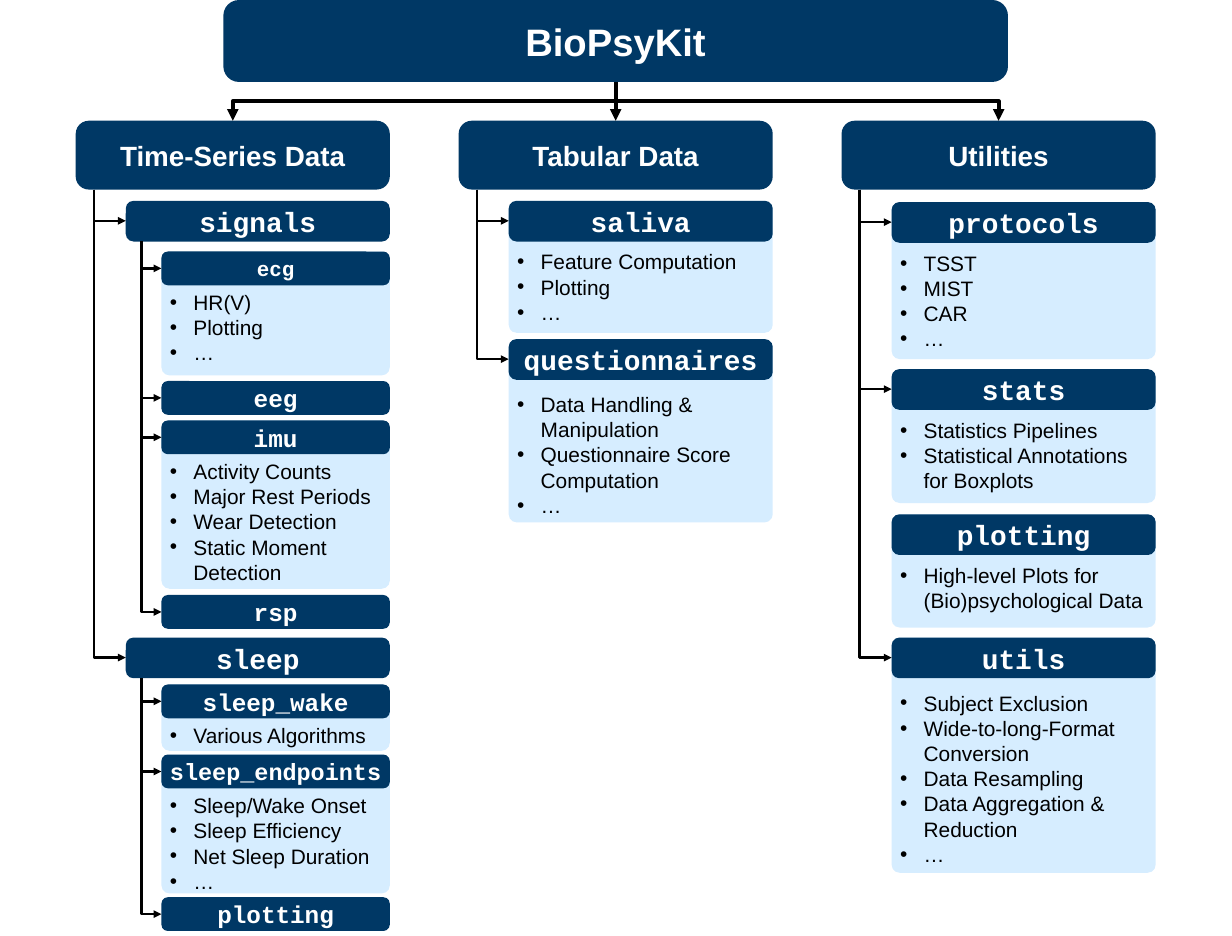
from dataclasses import dataclass

from lxml.etree import SubElement
from pptx import Presentation
from pptx.dml.color import RGBColor
from pptx.enum.shapes import MSO_CONNECTOR, MSO_SHAPE
from pptx.enum.text import MSO_ANCHOR, PP_ALIGN
from pptx.oxml.ns import qn
from pptx.shapes.autoshape import Shape
from pptx.shapes.connector import Connector
from pptx.util import Emu, Pt

SCALE = 9144  # EMU in one px, 100 px to the inch


@dataclass(frozen=True)
class Theme:
    navy: str = "003865"
    pale: str = "D6EDFF"
    white: str = "FFFFFF"
    black: str = "000000"
    sans: str = "Arial"
    mono: str = "Courier New"
    title: int = 44
    head: int = 32
    sub: int = 28
    body: int = 24
    line: int = 29


@dataclass(frozen=True)
class Unit:
    """One code unit: a dark bar, with a pale list of items below if it has any."""
    name: str
    top: int
    items: tuple[str, ...] = ()
    high: int = 0
    lead: int = 57
    size: float = Theme.sub
    linked: bool = True
    subs: tuple["Unit", ...] = ()


@dataclass(frozen=True)
class Column:
    name: str
    units: tuple[Unit, ...]


@dataclass(frozen=True)
class Level:
    """Place of a rank of units, measured from the left of its column."""
    left: int
    wide: int
    high: int
    trunk: int


THEME = Theme()
HEAD = THEME.head
MAIN = Level(80, 422, 65, 29)
SUB = Level(137, 365, 54, 105)
ROOT_LEFT, ROOT_WIDE, ROOT_HIGH = 357, 1254, 131
COL_LEFT, COL_STEP, COL_WIDE = 121, 612, 502
COL_TOP, COL_HIGH = 193, 110
BAR_ROUND, LIST_ROUND = 0.19, 13

COLUMNS = (
    Column("Time-Series Data", (
        Unit("signals", 321, size=HEAD, subs=(
            Unit("ecg", 402, ("HR(V)", "Plotting", "…"), 198, size=24),
            Unit("eeg", 609),
            Unit("imu", 672, ("Activity Counts", "Major Rest Periods", "Wear Detection",
                              "Static Moment Detection"), 269),
            Unit("rsp", 951),
        )),
        Unit("sleep", 1019, size=HEAD, subs=(
            Unit("sleep_wake", 1094, ("Various Algorithms",), 106),
            Unit("sleep_endpoints", 1206, ("Sleep/Wake Onset", "Sleep Efficiency",
                                           "Net Sleep Duration", "…"), 222, size=27),
            Unit("plotting", 1434),
        )),
    )),
    Column("Tabular Data", (
        Unit("saliva", 321, ("Feature Computation", "Plotting", "…"), 211, 73, HEAD),
        Unit("questionnaires", 542, ("Data Handling & Manipulation",
                                     "Questionnaire Score Computation", "…"), 293, 80, HEAD),
    )),
    Column("Utilities", (
        Unit("protocols", 323, ("TSST", "MIST", "CAR", "…"), 251, 73, HEAD),
        Unit("stats", 590, ("Statistics Pipelines",
                            "Statistical Annotations for Boxplots"), 214, 73, HEAD),
        Unit("plotting", 822, ("High-level Plots for (Bio)psychological Data",),
             181, 73, HEAD, linked=False),
        Unit("utils", 1019, ("Subject Exclusion", "Wide-to-long-Format Conversion",
                             "Data Resampling", "Data Aggregation & Reduction", "…"),
             376, 80, HEAD),
    )),
)

deck = Presentation()
deck.slide_width, deck.slide_height = Emu(1969 * SCALE), Emu(1496 * SCALE)
slide = deck.slides.add_slide(deck.slide_layouts[6])


def px(size: float) -> Emu:
    return Emu(round(size * SCALE))


def write(shape: Shape, *lines: str, font: str, size: float, color: str,
          bold: bool = False, bullet: bool = False, lead: int = 0) -> None:
    """Fill a shape with centred text, or with a bullet list that starts lead px down."""
    frame = shape.text_frame
    frame.word_wrap = True
    frame.margin_left = frame.margin_right = px(10)
    frame.margin_top, frame.margin_bottom = px(lead), 0
    frame.vertical_anchor = MSO_ANCHOR.TOP if bullet else MSO_ANCHOR.MIDDLE
    for i, line in enumerate(lines):
        para = frame.add_paragraph() if i else frame.paragraphs[0]
        para.alignment = PP_ALIGN.LEFT if bullet else PP_ALIGN.CENTER
        if bullet:
            para.line_spacing = Pt(THEME.line)
            props = para._p.get_or_add_pPr()
            props.set("marL", str(px(37.5)))
            props.set("indent", str(px(-37.5)))
            SubElement(props, qn("a:buFont")).set("typeface", THEME.sans)
            SubElement(props, qn("a:buChar")).set("char", "•")
        run = para.add_run()
        run.text = line
        run.font.name, run.font.size, run.font.bold = font, Pt(size), bold
        run.font.color.rgb = RGBColor.from_string(color)


def box(left: int, top: int, wide: int, high: int, fill: str, bend: float) -> Shape:
    shape = slide.shapes.add_shape(MSO_SHAPE.ROUNDED_RECTANGLE,
                                   px(left), px(top), px(wide), px(high))
    shape.adjustments[0] = bend
    shape.shadow.inherit = False
    shape.fill.solid()
    shape.fill.fore_color.rgb = RGBColor.from_string(fill)
    shape.line.fill.background()
    return shape


def bar(name: str, left: int, top: int, wide: int, high: int, font: str, size: float) -> None:
    shape = box(left, top, wide, high, THEME.navy, BAR_ROUND)
    write(shape, name, font=font, size=size, color=THEME.white, bold=True)


def style(link: Connector, width: float) -> None:
    link.line.width = Pt(width)
    link.line.color.rgb = RGBColor.from_string(THEME.black)
    SubElement(link.line._ln, qn("a:tailEnd")).set("type", "triangle")
    SubElement(link.element.spPr, qn("a:effectLst"))


def arrow(x: int, y: int, to_x: int, to_y: int, width: float, preset: str) -> None:
    """Draw an arrow that leaves downwards and turns to the side if it must."""
    if x == to_x:
        link = slide.shapes.add_connector(MSO_CONNECTOR.STRAIGHT,
                                          px(x), px(y), px(to_x), px(to_y))
    else:
        long, deep = to_y - y, abs(to_x - x)
        left, top = (x + to_x - long) / 2, (y + to_y - deep) / 2
        link = slide.shapes.add_connector(MSO_CONNECTOR.ELBOW, px(left), px(top),
                                          px(left + long), px(top + deep))
        frame = link.element.spPr.find(qn("a:xfrm"))
        frame.set("rot", str((270 if to_x > x else 90) * 60000))
        if to_x > x:
            frame.set("flipH", "1")
        link.element.spPr.find(qn("a:prstGeom")).set("prst", preset)
    style(link, width)


def draw(unit: Unit, level: Level, col: int, start: int) -> None:
    """Draw a unit, the arrow that leads to it from start, and its own units."""
    left = col + level.left
    if unit.items:
        sheet = box(left, unit.top, level.wide, unit.high, THEME.pale,
                    LIST_ROUND / min(level.wide, unit.high))
        write(sheet, *unit.items, font=THEME.sans, size=THEME.body,
              color=THEME.black, bullet=True, lead=unit.lead)
    bar(unit.name, left, unit.top, level.wide, level.high, THEME.mono, unit.size)
    if unit.linked:
        arrow(col + level.trunk, start, left, unit.top + level.high // 2,
              3, "bentConnector2")
    for sub in unit.subs:
        draw(sub, SUB, col, unit.top + level.high)


def main() -> None:
    bar("BioPsyKit", ROOT_LEFT, 0, ROOT_WIDE, ROOT_HIGH, THEME.sans, THEME.title)
    for i, column in enumerate(COLUMNS):
        left = COL_LEFT + i * COL_STEP
        bar(column.name, left, COL_TOP, COL_WIDE, COL_HIGH, THEME.sans, THEME.head)
        arrow(ROOT_LEFT + ROOT_WIDE // 2, ROOT_HIGH, left + COL_WIDE // 2, COL_TOP,
              4.5, "bentConnector3")
        for unit in column.units:
            draw(unit, MAIN, left, COL_TOP + COL_HIGH)
    deck.save("out.pptx")


if __name__ == "__main__":
    main()
